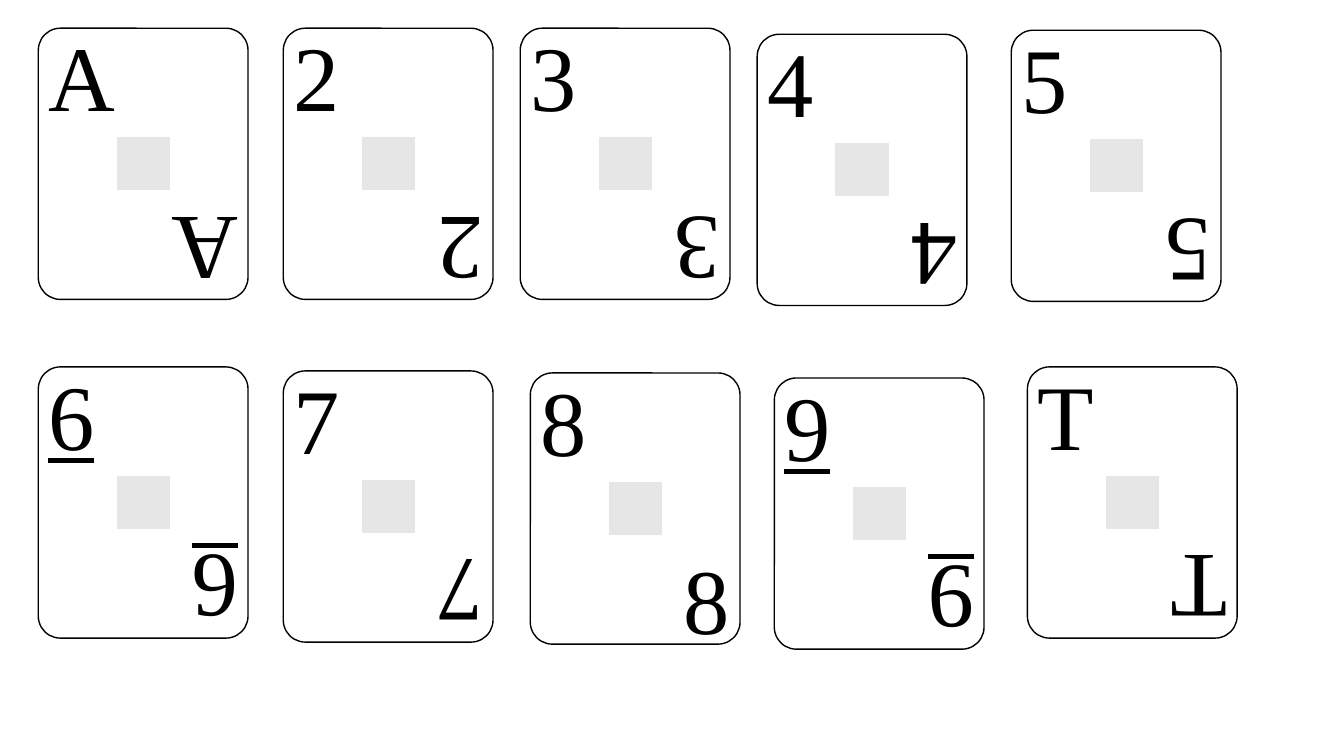
from pptx import Presentation
from pptx import util as u
from pptx.dml.color import RGBColor
from pptx.enum import shapes, text

BLACK = RGBColor(0x00, 0x00, 0x00)
WHITE = RGBColor(0xFF, 0xFF, 0xFF)
GREY = RGBColor(0xE7, 0xE6, 0xE6)

CARD_W, CARD_H = 2.08, 2.69
RANK_H = 1.21
PIP = 0.54
WIDTHS = {"A": 0.87, "T": 0.77}  # every digit is 0.66 wide
LINED = "69"   # underlined to tell them apart
UPRIGHT = "8"  # reads the same either way up

CARDS = [
    ("A", 0.38, 0.28), ("2", 2.81, 0.28), ("3", 5.16, 0.28),
    ("4", 7.51, 0.34), ("5", 10.03, 0.3),
    ("6", 0.38, 3.64), ("7", 2.81, 3.68), ("8", 5.26, 3.7),
    ("9", 7.68, 3.75), ("T", 10.19, 3.64),
]


class Deck:
    font = "Times New Roman"
    size = u.Pt(66)

    def __init__(self, slide):
        self.slide = slide

    def box(self, kind, left, top, width, height, fill, line):
        shape = self.slide.shapes.add_shape(
            kind, *map(u.Inches, (left, top, width, height)))
        shape.shadow.inherit = False
        shape.fill.solid()
        shape.fill.fore_color.rgb = fill
        shape.line.color.rgb = line
        shape.line.width = u.Pt(1)
        return shape

    def rank(self, name, left, top, turn=0):
        width = WIDTHS.get(name, 0.66)
        label = self.slide.shapes.add_textbox(
            *map(u.Inches, (left, top, width, RANK_H)))
        label.rotation = turn
        frame = label.text_frame
        frame.word_wrap = False
        frame.auto_size = text.MSO_AUTO_SIZE.SHAPE_TO_FIT_TEXT
        para = frame.paragraphs[0]
        para.text = name
        font = para.font
        font.name, font.size = self.font, self.size
        font.color.rgb = BLACK
        if name in LINED:
            font.underline = True

    def card(self, name, left, top):
        """Draw a card with its rank in two corners and a pip in the middle."""
        kinds = shapes.MSO_SHAPE
        face = self.box(kinds.ROUNDED_RECTANGLE, left, top, CARD_W, CARD_H,
                        WHITE, BLACK)
        face.adjustments[0] = 0.105
        self.rank(name, left, top - 0.14)
        right = left + CARD_W - WIDTHS.get(name, 0.66)
        self.rank(name, right, top + 1.63, 0 if name in UPRIGHT else 180)
        self.box(kinds.RECTANGLE, left + (CARD_W - PIP) / 2,
                 top + (CARD_H - PIP) / 2, PIP, PIP, GREY, WHITE)


def main():
    show = Presentation()
    show.slide_width, show.slide_height = u.Inches(13.33), u.Inches(7.5)
    deck = Deck(show.slides.add_slide(show.slide_layouts[6]))
    for card in CARDS:
        deck.card(*card)
    show.save("out.pptx")


if __name__ == "__main__":
    main()
